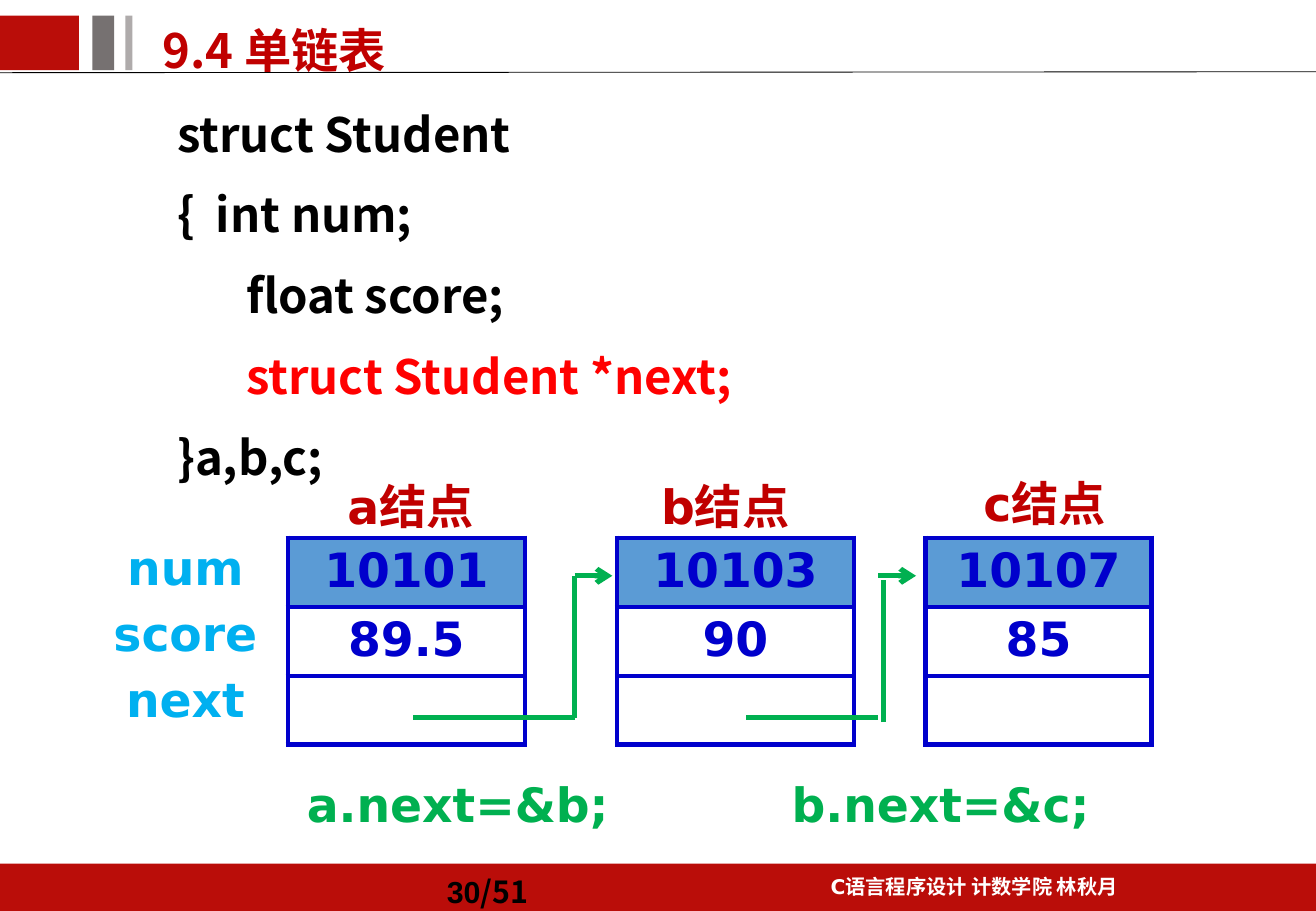
from dataclasses import dataclass
from typing import Any, NamedTuple

from lxml.etree import SubElement
from pptx import Presentation
from pptx.dml.color import RGBColor
from pptx.enum.shapes import MSO_CONNECTOR as Connector, MSO_SHAPE as Shape
from pptx.enum.text import MSO_ANCHOR as Anchor, MSO_AUTO_SIZE as AutoSize, PP_ALIGN as Align
from pptx.oxml import parse_xml
from pptx.oxml.ns import nsdecls, qn
from pptx.util import Cm, Pt

COLORS = {
    "band": "BA0D09", "gray": "767171", "silver": "AFABAB", "heading": "C00000",
    "black": "000000", "white": "FFFFFF", "red": "FF0000", "ink": "0000CC",
    "cell": "5B9BD5", "link": "00B050", "field": "00B0F0",
}
SANS, CJK, LATIN, SERIF = "DejaVu Sans", "Noto Sans CJK SC", "Arial", "Times New Roman"
SLIDE_W, SLIDE_H = 27.51, 19.05
FOOTER_TOP = 18.06
NODE_TOP, ROW_H = 11.25, 1.44
LABEL_H = 1.45
NEXT_Y, ARROW_Y = 15.01, 12.04
SPACED = {"line_spacing": 1.2, "space_before": Pt(5.6), "alignment": Align.LEFT}
CENTERED = {"alignment": Align.CENTER}


class Box(NamedTuple):
    left: float
    top: float
    width: float
    height: float


class Run(NamedTuple):
    text: str
    color: str
    size: int = 28
    font: str = SANS


class CodeLine(NamedTuple):
    text: str
    margin: float = 0.48
    hanging: float = 0.48
    color: str = "black"


class Label(NamedTuple):
    text: str
    left: float
    top: float
    width: float
    color: str


@dataclass
class Node:
    left: float
    width: float
    values: tuple[str, str, str]


@dataclass
class Link:
    """Path from a next cell, up a riser, to the following node."""
    start: float
    corner: float
    riser: float
    tip: float
    riser_shift: float = 0


BLOCKS = {
    "band": Box(0, 0.33, 1.65, 1.14),
    "gray": Box(1.93, 0.33, 0.46, 1.14),
    "silver": Box(2.62, 0.33, 0.15, 1.14),
}
CODE = [
    CodeLine("struct Student"),
    CodeLine("{\tint num;", 0.81, 0.81),
    CodeLine("float score;", 1.44, 0),
    CodeLine("struct Student *next;", 1.44, 0, "red"),
    CodeLine("}a,b,c;"),
]
NODES = [
    Node(6.02, 4.95, ("10101", "89.5", "")),
    Node(12.9, 4.95, ("10103", "90", "")),
    Node(19.35, 4.72, ("10107", "85", "")),
]
LINKS = [Link(8.64, 12.01, 12.01, 12.8), Link(15.6, 18.36, 18.47, 19.15, 0.09)]
LABELS = [
    Label("a结点", 6.22, 9.86, 4.72, "heading"),
    Label("b结点", 12.9, 9.86, 4.52, "heading"),
    Label("c结点", 19.79, 9.8, 4.09, "heading"),
    Label("a.next=&b;", 5.38, 16.08, 8.38, "link"),
    Label("b.next=&c;", 15.47, 16.08, 8.38, "link"),
    *(Label(name, 1.73, 11.13 + 1.38 * row, 4.29, "field")
      for row, name in enumerate(("num", "score", "next"))),
]


def rgb(name: str) -> RGBColor:
    return RGBColor.from_string(COLORS[name])


def apply(target: Any, formats: dict[str, Any]) -> None:
    for name, value in formats.items():
        setattr(target, name, value)


def place(shape: Any, box: Box) -> None:
    apply(shape, {name: Cm(value) for name, value in box._asdict().items()})


def write(paragraph: Any, runs: list[Run], formats: dict[str, Any]) -> None:
    apply(paragraph, formats)
    for part in runs:
        run = paragraph.add_run()
        run.text = part.text
        apply(run.font, {"size": Pt(part.size), "bold": True, "name": part.font})
        run.font.color.rgb = rgb(part.color)
        SubElement(run.font._element, qn("a:ea"), typeface=CJK)


def add_text(slide: Any, box: Box, runs: list[Run], formats: dict[str, Any],
             anchor: Any = Anchor.TOP) -> None:
    frame = slide.shapes.add_textbox(*map(Cm, box)).text_frame
    apply(frame, {"word_wrap": True, "vertical_anchor": anchor})
    write(frame.paragraphs[0], runs, formats)


def add_block(slide: Any, box: Box, color: str) -> None:
    block = slide.shapes.add_shape(Shape.RECTANGLE, *map(Cm, box))
    block.shadow.inherit = False
    block.fill.solid()
    block.fill.fore_color.rgb = rgb(color)
    block.line.fill.background()


def add_line(slide: Any, start: tuple[float, float], end: tuple[float, float],
             color: str, width: float, arrow: bool = False) -> None:
    line = slide.shapes.add_connector(Connector.STRAIGHT, *map(Cm, (*start, *end)))
    line.line.color.rgb = rgb(color)
    line.line.width = Pt(width)
    if arrow:
        SubElement(line.line._get_or_add_ln(), qn("a:tailEnd"), type="arrow")
    SubElement(line._element.spPr, qn("a:effectLst"))


def add_link(slide: Any, link: Link) -> None:
    shift = link.riser_shift
    add_line(slide, (link.start, NEXT_Y), (link.corner, NEXT_Y), "link", 3)
    add_line(slide, (link.riser, NEXT_Y + shift), (link.riser, ARROW_Y + shift), "link", 3)
    add_line(slide, (link.corner, ARROW_Y), (link.tip, ARROW_Y), "link", 3, arrow=True)


def add_node(slide: Any, node: Node) -> None:
    rows = len(node.values)
    box = Box(node.left, NODE_TOP, node.width, ROW_H * rows)
    table = slide.shapes.add_table(rows, 1, *map(Cm, box)).table
    apply(table, {"first_row": False, "horz_banding": False})
    for row, value in enumerate(node.values):
        cell = table.cell(row, 0)
        cell.fill.solid()
        cell.fill.fore_color.rgb = rgb("white" if row else "cell")
        for index, side in enumerate(("lnL", "lnR", "lnT", "lnB")):
            cell._tc.get_or_add_tcPr().insert(index, parse_xml(
                f'<a:{side} {nsdecls("a")} w="{Pt(3)}"><a:solidFill>'
                f'<a:srgbClr val="{COLORS["ink"]}"/></a:solidFill></a:{side}>'))
        if value:
            write(cell.text_frame.paragraphs[0], [Run(value, "ink")], CENTERED)


def fill_title(title: Any) -> None:
    place(title, Box(3.15, 0.08, 13.23, 1.7))
    apply(title.text_frame, {"vertical_anchor": Anchor.TOP, "auto_size": AutoSize.NONE})
    write(title.text_frame.paragraphs[0], [Run("9.4 单链表", "heading", font=CJK)], SPACED)


def fill_code(body: Any) -> None:
    place(body, Box(3.45, 1.83, 18.69, 7.92))
    frame = body.text_frame
    frame.auto_size = AutoSize.NONE
    for index, line in enumerate(CODE):
        paragraph = frame.add_paragraph() if index else frame.paragraphs[0]
        write(paragraph, [Run(line.text, line.color, font=CJK)],
              SPACED | {"space_before": Pt(7.5)})
        properties = paragraph._p.get_or_add_pPr()
        properties.set("marL", str(Cm(line.margin)))
        properties.set("indent", str(-Cm(line.hanging)))
        SubElement(properties, qn("a:buNone"))


def main() -> None:
    deck = Presentation()
    apply(deck, {"slide_width": Cm(SLIDE_W), "slide_height": Cm(SLIDE_H)})
    slide = deck.slides.add_slide(deck.slide_layouts[1])
    fill_title(slide.shapes.title)
    fill_code(slide.placeholders[1])

    add_block(slide, Box(0, FOOTER_TOP, SLIDE_W, SLIDE_H - FOOTER_TOP), "band")
    add_text(slide, Box(15.49, FOOTER_TOP, 9.75, 0.86),
             [Run("C", "white", 12), Run("语言程序设计 计数学院 林秋月", "white", 12, SERIF)],
             SPACED | CENTERED | {"space_before": Pt(2.4)})
    add_text(slide, Box(9.09, FOOTER_TOP, 3.61, 0.99),
             [Run("30", "black", 18, LATIN), Run("/51", "black", 18, CJK)],
             SPACED | {"space_before": Pt(3.6)}, Anchor.MIDDLE)
    add_line(slide, (0, 1.52), (SLIDE_W, 1.5), "black", 0.5)
    for color, box in BLOCKS.items():
        add_block(slide, box, color)

    for node in NODES:
        add_node(slide, node)
    for link in LINKS:
        add_link(slide, link)
    for label in LABELS:
        add_text(slide, Box(label.left, label.top, label.width, LABEL_H),
                 [Run(label.text, label.color)], CENTERED)
    deck.save("out.pptx")


if __name__ == "__main__":
    main()
